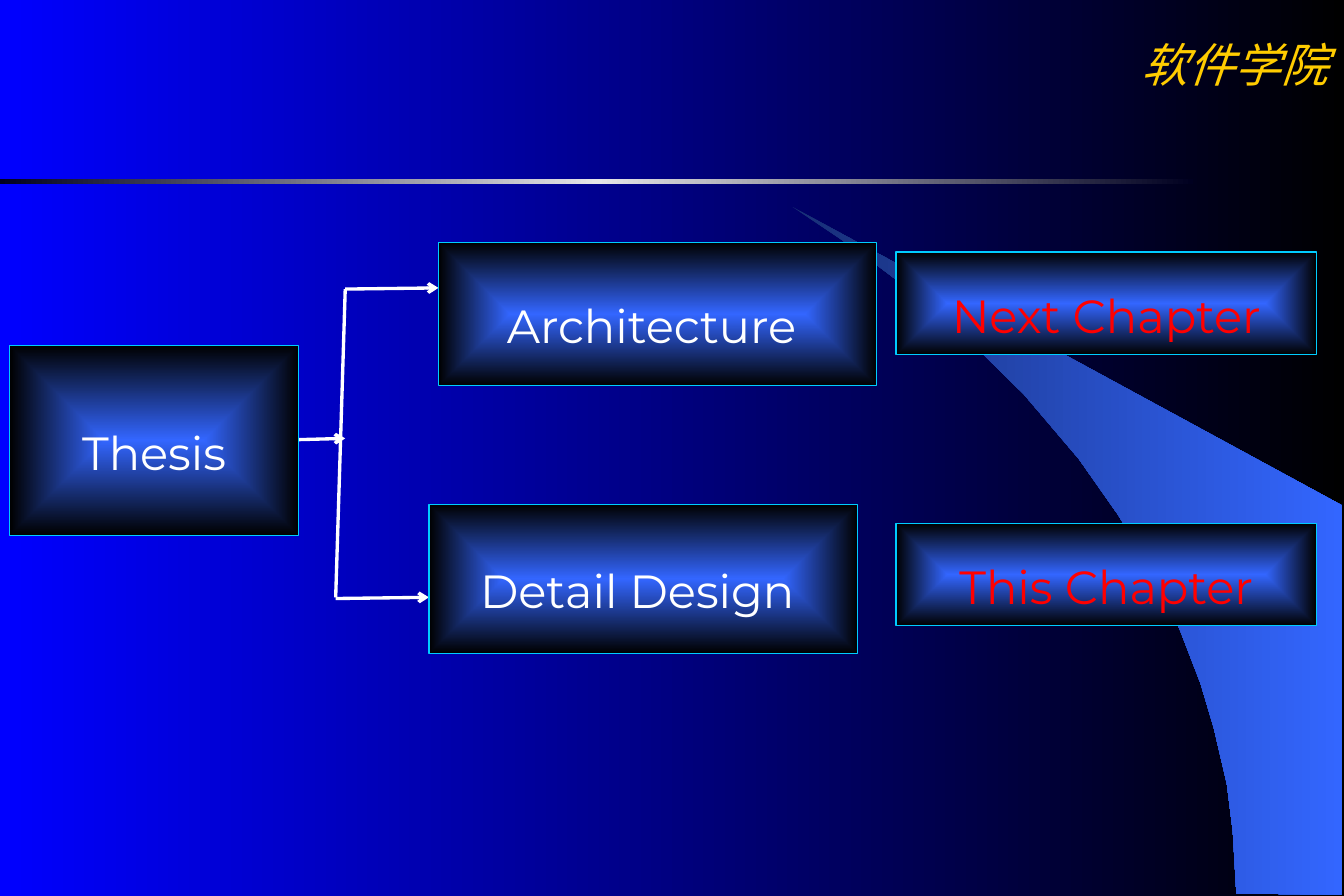
from typing import NamedTuple

from lxml.etree import SubElement
from pptx import Presentation
from pptx.dml.color import RGBColor
from pptx.enum.shapes import MSO_CONNECTOR as Connector, MSO_SHAPE as Preset
from pptx.enum.text import MSO_ANCHOR as Anchor, PP_ALIGN as Align
from pptx.oxml.ns import qn
from pptx.util import Inches, Pt

COLORS = {
    "blue": "0000FF", "black": "000000", "navy": "182F76", "azure": "3366FF",
    "midnight": "000020", "silver": "E5E5E8", "cyan": "00CCFF",
    "white": "FFFFFF", "red": "FF0000", "gold": "FFCC00",
}


class Box(NamedTuple):
    text: str
    left: float
    top: float
    width: float
    height: float
    color: str = "white"


class Line(NamedTuple):
    start: tuple[float, float]
    end: tuple[float, float]
    arrow: bool = True


BOXES = [
    Box("Thesis", 0.08, 2.89, 2.42, 1.59),
    Box("Architecture ", 3.67, 2.03, 3.67, 1.2),
    Box("Detail Design ", 3.59, 4.22, 3.59, 1.25),
    Box("This Chapter", 7.5, 4.38, 3.52, 0.86, "red"),
    Box("Next Chapter", 7.5, 2.11, 3.52, 0.86, "red"),
]
LINES = [
    Line((2.5, 3.68), (2.89, 3.67)),
    Line((2.89, 2.42), (2.81, 5), arrow=False),
    Line((2.89, 2.42), (3.67, 2.41)),
    Line((2.81, 5.01), (3.59, 5)),
]
SWOOSH = [
    (10.35, 7.48), (11.23, 7.49), (11.23, 4.23), (6.63, 1.73), (7.02, 1.99),
    (7.34, 2.22), (7.71, 2.5), (8.06, 2.8), (8.57, 3.3), (9.03, 3.84),
    (9.36, 4.31), (9.65, 4.79), (9.88, 5.28), (10.05, 5.72), (10.16, 6.09),
    (10.27, 6.56), (10.32, 6.96),
]


def rgb(name: str) -> RGBColor:
    return RGBColor.from_string(COLORS[name])


def set_gradient(owner, element, names: list[str], from_center: bool = False) -> None:
    owner.fill.gradient()
    gradient = next(element.iter(qn("a:gradFill")))
    gradient.clear()
    stops = SubElement(gradient, qn("a:gsLst"))
    for index, name in enumerate(names):
        position = 100000 * index // (len(names) - 1)
        stop = SubElement(stops, qn("a:gs"), pos=str(position))
        SubElement(stop, qn("a:srgbClr"), val=COLORS[name])
    if from_center:
        center = SubElement(gradient, qn("a:path"), path="rect")
        SubElement(center, qn("a:fillToRect"), {side: "50000" for side in "ltrb"})
    else:
        SubElement(gradient, qn("a:lin"), ang="0", scaled="0")


def add_text(shape, text: str, font: str, color: str, italic: bool = False):
    shape.text_frame.word_wrap = False
    paragraph = shape.text_frame.paragraphs[0]
    paragraph.alignment = Align.CENTER
    run = paragraph.add_run()
    run.text = text
    run.font.name = font
    run.font.size = Pt(28)
    run.font.italic = italic
    run.font.color.rgb = rgb(color)
    return paragraph


def add_box(slide, box: Box) -> None:
    shape = slide.shapes.add_shape(
        Preset.RECTANGLE, Inches(box.left), Inches(box.top),
        Inches(box.width), Inches(box.height))
    shape.shadow.inherit = False
    set_gradient(shape, shape.element, ["azure", "black"], from_center=True)
    shape.line.color.rgb = rgb("cyan")
    shape.line.width = Pt(0.75)
    shape.text_frame.vertical_anchor = Anchor.MIDDLE
    add_text(shape, box.text, "Montserrat", box.color).line_spacing = 1.4


def add_line(slide, line: Line) -> None:
    connector = slide.shapes.add_connector(
        Connector.STRAIGHT, *map(Inches, line.start + line.end))
    connector.line.color.rgb = rgb("white")
    connector.line.width = Pt(2)
    if line.arrow:
        SubElement(connector.line._get_or_add_ln(), qn("a:tailEnd"), type="arrow")
    SubElement(connector.element.spPr, qn("a:effectLst"))


def add_backdrop(slide) -> None:
    set_gradient(slide.background, slide.element, ["blue", "black"])

    school = slide.shapes.add_textbox(
        Inches(9.42), Inches(0.25), Inches(1.83), Inches(0.57))
    add_text(school, "软件学院", "Times New Roman", "gold", italic=True)

    points = [(Inches(x), Inches(y)) for x, y in SWOOSH]
    builder = slide.shapes.build_freeform(*points[0])
    builder.add_line_segments(points[1:], close=True)
    swoosh = builder.convert_to_shape()
    bar = slide.shapes.add_shape(
        Preset.RECTANGLE, 0, Inches(1.5), Inches(9.99), Inches(0.04))
    for shape, names in ((swoosh, ["navy", "azure"]),
                         (bar, ["midnight", "silver", "midnight"])):
        shape.shadow.inherit = False
        set_gradient(shape, shape.element, names)
        shape.line.fill.background()


def main() -> None:
    presentation = Presentation()
    presentation.slide_width = Inches(11.25)
    presentation.slide_height = Inches(7.5)
    slide = presentation.slides.add_slide(presentation.slide_layouts[6])
    add_backdrop(slide)
    for line in LINES:
        add_line(slide, line)
    for box in BOXES:
        add_box(slide, box)
    presentation.save("out.pptx")


if __name__ == "__main__":
    main()
